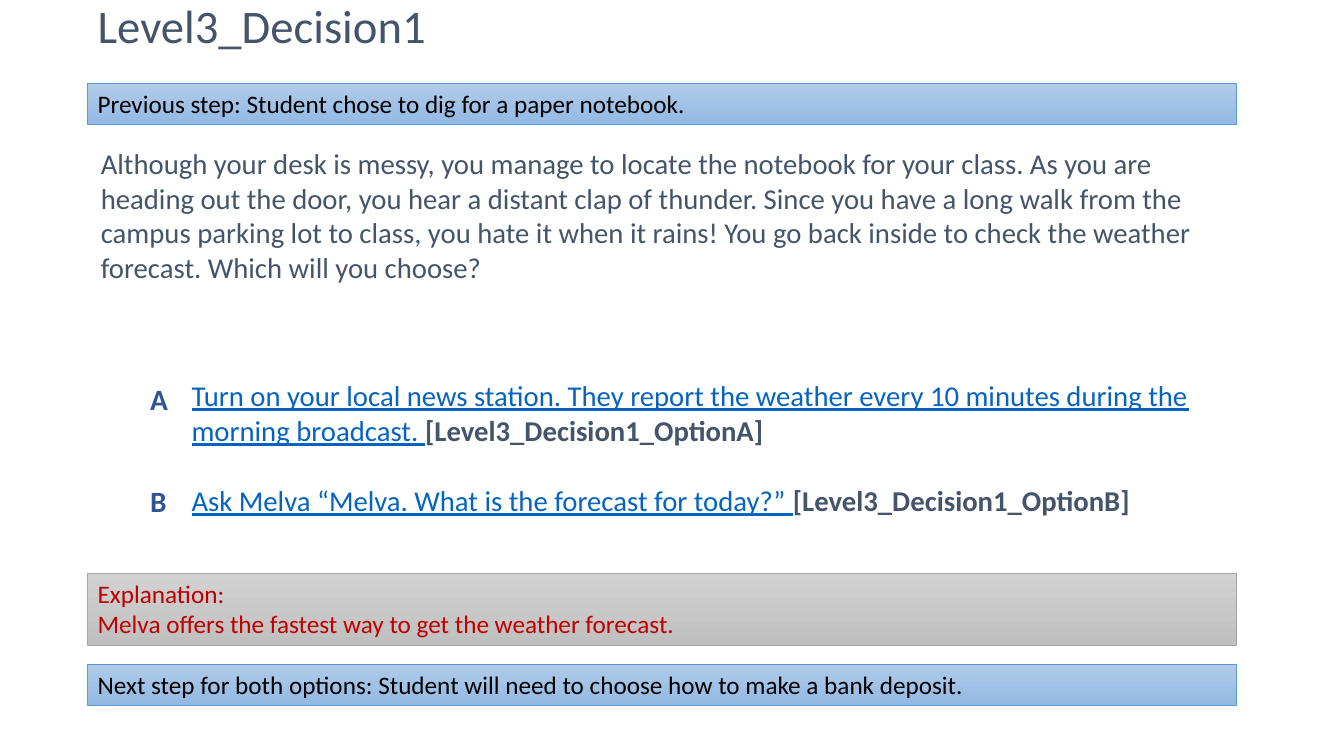
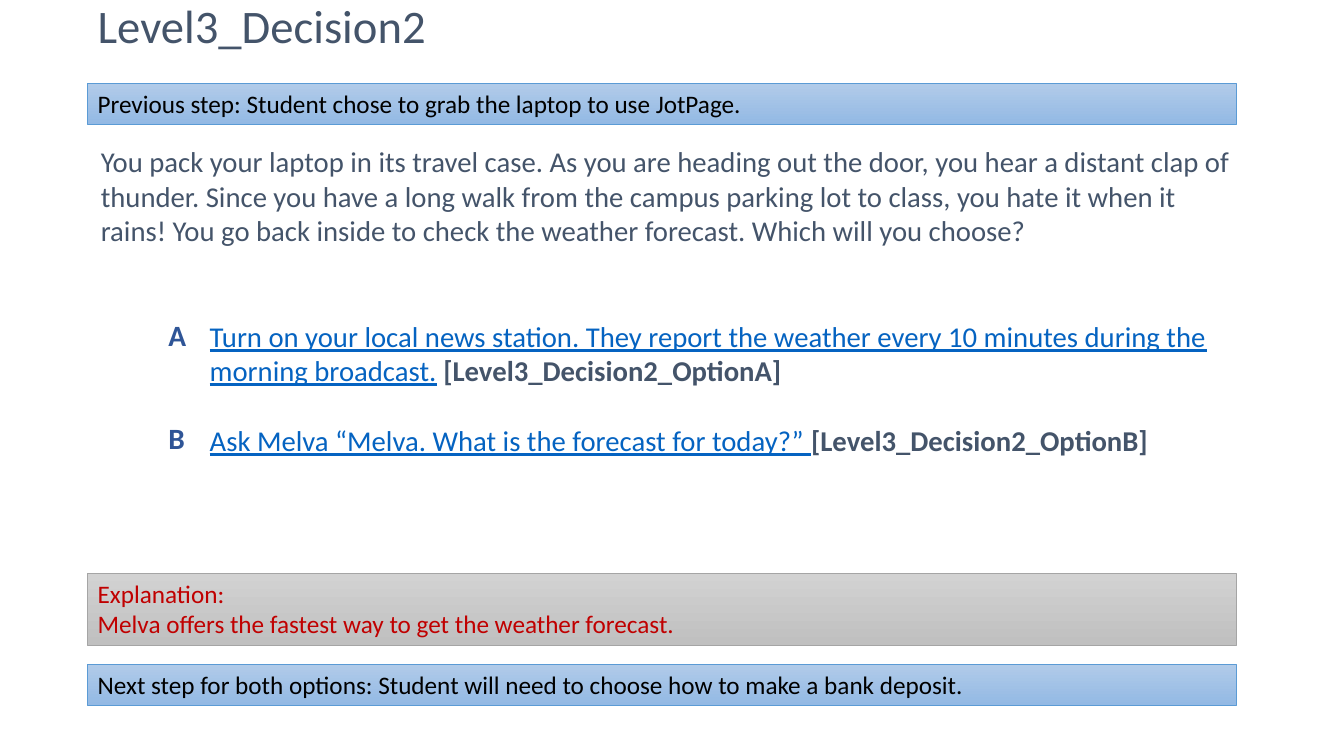
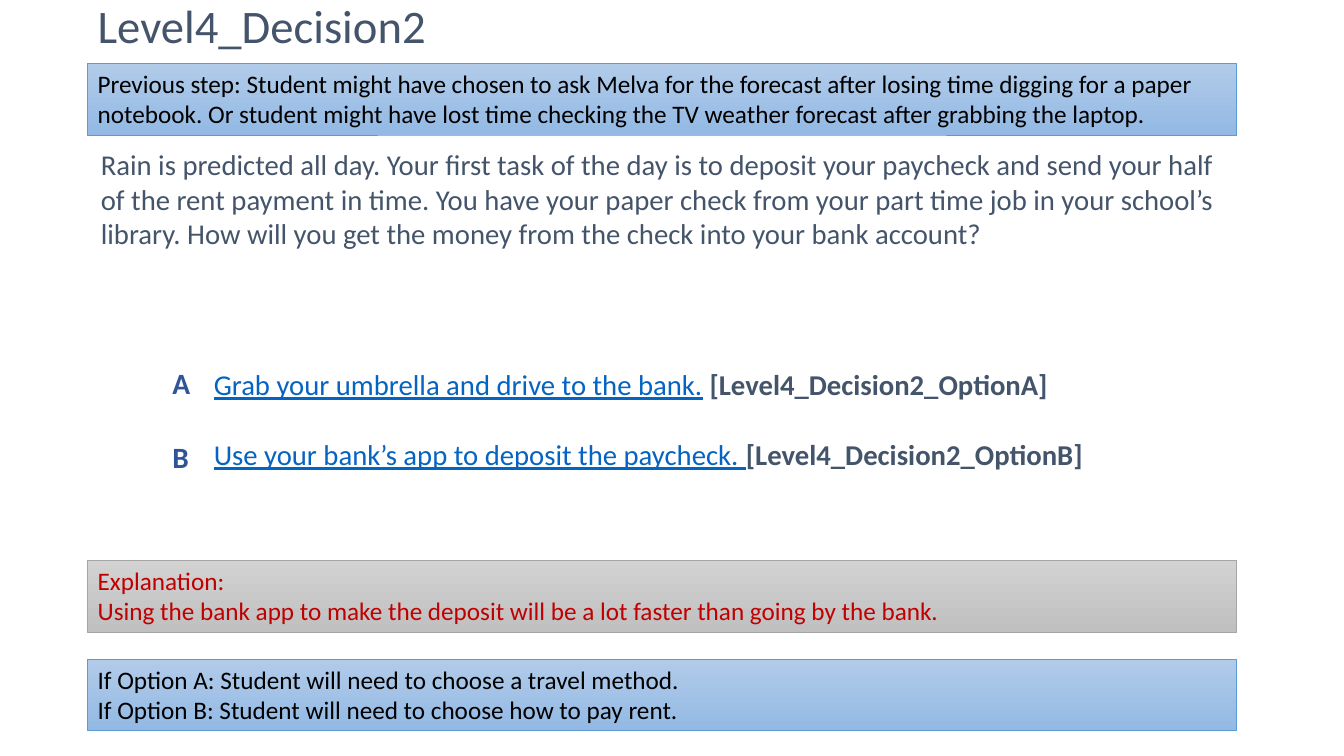
from dataclasses import dataclass

from pptx import Presentation
from pptx.dml.color import RGBColor
from pptx.enum.shapes import MSO_SHAPE as Shape
from pptx.enum.text import MSO_ANCHOR as Anchor, MSO_AUTO_SIZE as AutoSize, PP_ALIGN as Align
from pptx.util import Inches, Pt

SLIDE_WIDTH, SLIDE_HEIGHT = Inches(13.33), Inches(7.5)
COLUMN, ROW = SLIDE_WIDTH / 100, SLIDE_HEIGHT / 100

SLATE = RGBColor(0x44, 0x54, 0x6A)
LINK_BLUE = RGBColor(0x05, 0x63, 0xC1)
LETTER_BLUE = RGBColor(0x2F, 0x55, 0x97)
RED = RGBColor(0xC0, 0x00, 0x00)
BLACK = RGBColor(0x00, 0x00, 0x00)
BLUE_TOP = RGBColor(0xB1, 0xCB, 0xE9)
BLUE_BOTTOM = RGBColor(0x93, 0xB9, 0xE4)
BLUE_EDGE = RGBColor(0x5B, 0x9B, 0xD5)
GRAY_TOP = RGBColor(0xD2, 0xD2, 0xD2)
GRAY_BOTTOM = RGBColor(0xC0, 0xC0, 0xC0)
GRAY_EDGE = RGBColor(0xA5, 0xA5, 0xA5)

FONT = "Calibri"
BODY_SIZE, LETTER_SIZE, BAND_SIZE, TITLE_SIZE = 20.5, 21, 18, 33.3
LEFT, CONTENT_WIDTH = 6.53, 85.45
LETTER_OFFSET, LETTER_WIDTH, LETTER_HEIGHT = 3.08, 4.5, 5.87
BAND_PADDING, BAND_LINE = 1.33, 4.07
WIDE_INSETS = (0.13, 0.07)
BAND_INSETS = (0.1, 0.05)


@dataclass
class BandStyle:
    top: RGBColor
    bottom: RGBColor
    edge: RGBColor
    text: RGBColor


STEP_BAND = BandStyle(BLUE_TOP, BLUE_BOTTOM, BLUE_EDGE, BLACK)
EXPLANATION_BAND = BandStyle(GRAY_TOP, GRAY_BOTTOM, GRAY_EDGE, RED)


@dataclass
class Decision:
    title: str
    story: str
    choices: tuple
    explanation: str
    next_step: tuple
    previous_step: str
    options_area: tuple
    letter_tops: tuple
    story_top: float
    story_width: float = CONTENT_WIDTH
    previous_top: float = 11.07
    previous_lines: int = 1
    explanation_top: float = 75.87
    next_top: float = 87.87


NEWS = "Turn on your local news station. They report the weather every 10 minutes during the morning broadcast."
ASK = "Ask Melva “Melva. What is the forecast for today?” "
FASTEST = "Melva offers the fastest way to get the weather forecast."
DEPOSIT = ("Next step for both options: Student will need to choose how to make a bank deposit.",)

DECISIONS = (
    Decision(
        title="Level3_Decision1",
        story="Although your desk is messy, you manage to locate the notebook for your class. "
              "As you are heading out the door, you hear a distant clap of thunder. Since you have "
              "a long walk from the campus parking lot to class, you hate it when it rains! "
              "You go back inside to check the weather forecast. Which will you choose?",
        choices=(NEWS + " ", ASK),
        explanation=FASTEST,
        next_step=DEPOSIT,
        previous_step="Previous step: Student chose to dig for a paper notebook.",
        options_area=(13.28, 49.07, 76.22, 22.67),
        letter_tops=(49.47, 62.93),
        story_top=18.4,
    ),
    Decision(
        title="Level3_Decision2",
        story="You pack your laptop in its travel case. As you are heading out the door, you hear "
              "a distant clap of thunder. Since you have a long walk from the campus parking lot "
              "to class, you hate it when it rains! You go back inside to check the weather "
              "forecast. Which will you choose?",
        choices=(NEWS, ASK),
        explanation=FASTEST,
        next_step=DEPOSIT,
        previous_step="Previous step: Student chose to grab the laptop to use JotPage.",
        options_area=(14.63, 41.2, 78.92, 24),
        letter_tops=(41.07, 54.67),
        story_top=18.13,
        story_width=86.95,
    ),
    Decision(
        title="Level4_Decision2",
        story="Rain is predicted all day. Your first task of the day is to deposit your paycheck "
              "and send your half of the rent payment in time. You have your paper check from your "
              "part time job in your school’s library. How will you get the money from the check "
              "into your bank account?",
        choices=("Grab your umbrella and drive to the bank.",
                 "Use your bank’s app to deposit the paycheck. "),
        explanation="Using the bank app to make the deposit will be a lot faster than going by the bank.",
        next_step=("If Option A: Student will need to choose a travel method.",
                   "If Option B: Student will need to choose how to pay rent."),
        previous_step="Previous step: Student might have chosen to ask Melva for the forecast after "
                      "losing time digging for a paper notebook. Or student might have lost time "
                      "checking the TV weather forecast after grabbing the laptop.",
        options_area=(14.93, 47.6, 76.97, 19.33),
        letter_tops=(47.33, 57.2),
        story_top=18.53,
        previous_top=8.4,
        previous_lines=2,
        explanation_top=74.13,
        next_top=87.2,
    ),
)


def place(left, top, width, height):
    return round(left * COLUMN), round(top * ROW), round(width * COLUMN), round(height * ROW)


def prepare_frame(shape, insets, anchor=Anchor.TOP):
    frame = shape.text_frame
    frame.word_wrap = True
    frame.vertical_anchor = anchor
    frame.margin_left = frame.margin_right = Inches(insets[0])
    frame.margin_top = frame.margin_bottom = Inches(insets[1])
    return frame


def next_paragraph(frame, index):
    return frame.add_paragraph() if index else frame.paragraphs[0]


def set_font(paragraph, size, color, bold=False):
    paragraph.alignment = Align.LEFT
    font = paragraph.font
    font.name, font.size, font.bold = FONT, Pt(size), bold
    font.color.rgb = color


def add_text(slide, area, text, size, color, bold=False, insets=WIDE_INSETS, anchor=Anchor.TOP):
    frame = prepare_frame(slide.shapes.add_textbox(*place(*area)), insets, anchor)
    paragraph = frame.paragraphs[0]
    paragraph.text = text
    set_font(paragraph, size, color, bold)
    return paragraph


def add_title(slide, title):
    area = (LEFT, 0.13, CONTENT_WIDTH, 7.33)
    paragraph = add_text(slide, area, title, TITLE_SIZE, SLATE,
                         insets=BAND_INSETS, anchor=Anchor.MIDDLE)
    paragraph.line_spacing = 0.9


def add_options(slide, decision):
    area = decision.options_area
    frame = prepare_frame(slide.shapes.add_textbox(*place(*area)), WIDE_INSETS)
    for index, (letter, choice) in enumerate(zip("AB", decision.choices)):
        paragraph = next_paragraph(frame, index)
        set_font(paragraph, BODY_SIZE, SLATE)
        if index:
            paragraph.space_before = Pt(25.6)
        link = paragraph.add_run()
        link.text = choice
        link.font.underline = True
        link.font.color.rgb = LINK_BLUE
        tag = paragraph.add_run()
        gap = "" if choice.endswith(" ") else " "
        tag.text = f"{gap}[{decision.title}_Option{letter}]"
        tag.font.bold = True
    for letter, top in zip("AB", decision.letter_tops):
        letter_area = (area[0] - LETTER_OFFSET, top, LETTER_WIDTH, LETTER_HEIGHT)
        add_text(slide, letter_area, letter, LETTER_SIZE, LETTER_BLUE, bold=True)


def add_band(slide, top, texts, style, lines):
    area = (LEFT, top, CONTENT_WIDTH, BAND_PADDING + BAND_LINE * lines)
    band = slide.shapes.add_shape(Shape.RECTANGLE, *place(*area))
    band.shadow.inherit = False
    band.fill.gradient()
    band.fill.gradient_angle = 270
    for stop, color in zip(band.fill.gradient_stops, (style.top, style.bottom)):
        stop.color.rgb = color
    band.line.color.rgb = style.edge
    band.line.width = Pt(0.5)
    frame = prepare_frame(band, BAND_INSETS)
    frame.auto_size = AutoSize.SHAPE_TO_FIT_TEXT
    for index, text in enumerate(texts):
        paragraph = next_paragraph(frame, index)
        paragraph.text = text
        set_font(paragraph, BAND_SIZE, style.text)


def add_decision(presentation, decision):
    slide = presentation.slides.add_slide(presentation.slide_layouts[6])
    story_area = (LEFT, decision.story_top, decision.story_width, 26)
    add_text(slide, story_area, decision.story, BODY_SIZE, SLATE)
    add_title(slide, decision.title)
    add_options(slide, decision)
    add_band(slide, decision.explanation_top, ("Explanation:", decision.explanation),
             EXPLANATION_BAND, 2)
    add_band(slide, decision.next_top, decision.next_step, STEP_BAND, len(decision.next_step))
    add_band(slide, decision.previous_top, (decision.previous_step,), STEP_BAND,
             decision.previous_lines)


def main():
    presentation = Presentation()
    presentation.slide_width, presentation.slide_height = SLIDE_WIDTH, SLIDE_HEIGHT
    for decision in DECISIONS:
        add_decision(presentation, decision)
    presentation.save("out.pptx")


if __name__ == "__main__":
    main()
